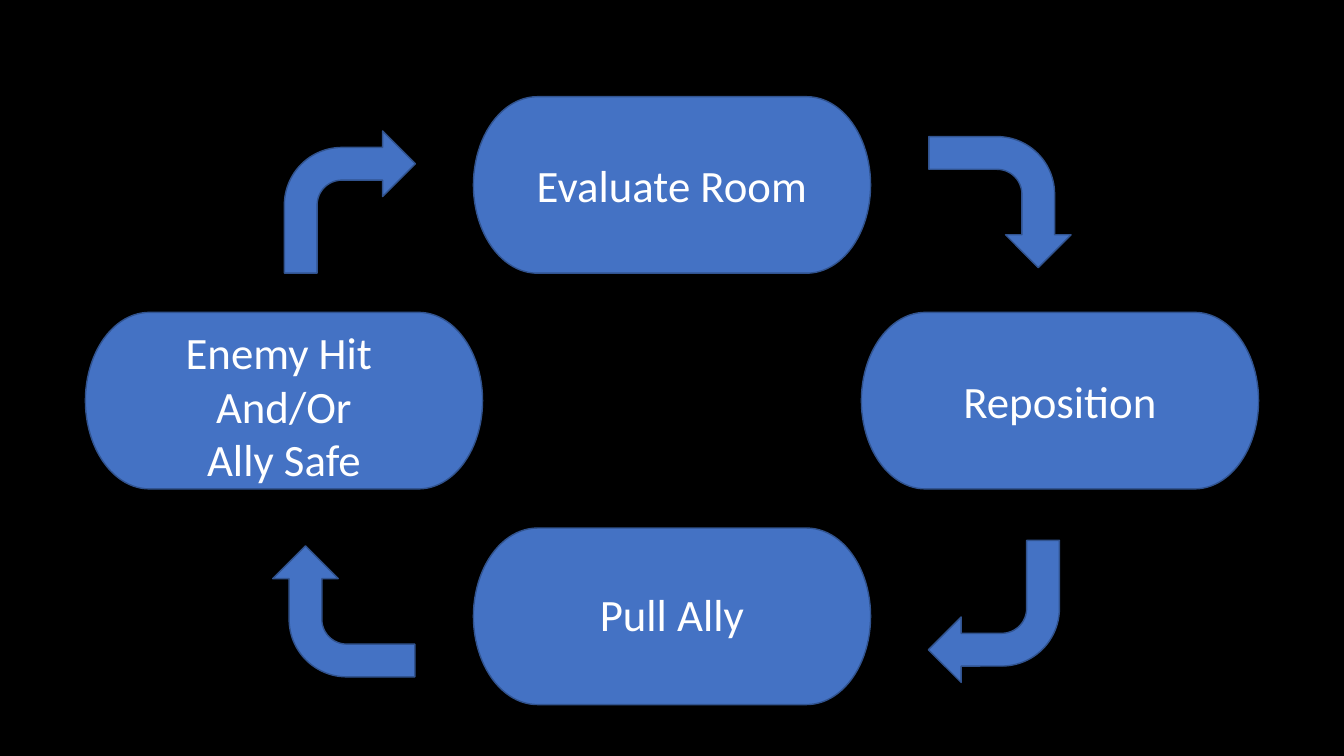
from dataclasses import dataclass

from pptx import Presentation
from pptx.dml.color import RGBColor
from pptx.enum.shapes import MSO_SHAPE as Preset
from pptx.enum.text import MSO_AUTO_SIZE as AutoSize, PP_ALIGN as Align
from pptx.shapes.autoshape import Shape
from pptx.slide import Slide
from pptx.util import Inches, Pt

COLOURS = {"back": "000000", "fill": "4472C4", "edge": "31538F", "text": "FFFFFF"}

# Grid of 100 columns by 100 rows
SLIDE_W, SLIDE_H = 13.33, 7.5
COLUMN, ROW = SLIDE_W / 100, SLIDE_H / 100
CENTRE_X, CENTRE_Y = 50, 53
REACH_X, REACH_Y = 28.87, 28.53
STAGE_W, STAGE_H = 29.55, 23.35
LABEL_W, LABEL_PAD, LABEL_LINE = 24, 1.33, 7.2
ARROW_W, ARROW_H = 9.75, 18.8


@dataclass
class Stage:
    lines: list[str]
    across: int  # steps from the centre of the cycle
    down: int
    label_shift: float  # rows between stage centre and label centre


@dataclass
class Turn:
    x: float
    y: float
    rotation: int


STAGES = [
    Stage(["Evaluate Room"], 0, -1, 0),
    Stage(["Enemy Hit ", "And/Or", "Ally Safe"], -1, 0, 0.73),
    Stage(["Reposition"], 1, 0, 0.07),
    Stage(["Pull Ally"], 0, 1, -0.33),
]
TURNS = [
    Turn(26.03, 26.73, 0),
    Turn(74.4, 26.73, 90),
    Turn(73.95, 80.87, 180),
    Turn(25.58, 80.87, 270),
]


def colour(name: str) -> RGBColor:
    return RGBColor.from_string(COLOURS[name])


def frame(x: float, y: float, width: float, height: float) -> tuple:
    """Turn a centre and size on the grid into left, top, width, height."""
    return (Inches((x - width / 2) * COLUMN), Inches((y - height / 2) * ROW),
            Inches(width * COLUMN), Inches(height * ROW))


def add_block(page: Slide, preset: Preset, place: tuple) -> Shape:
    block = page.shapes.add_shape(preset, *place)
    block.shadow.inherit = False
    block.fill.solid()
    block.fill.fore_color.rgb = colour("fill")
    block.line.color.rgb = colour("edge")
    block.line.width = Pt(1)
    return block


def add_stage(page: Slide, stage: Stage) -> None:
    x = CENTRE_X + stage.across * REACH_X
    y = CENTRE_Y + stage.down * REACH_Y
    add_block(page, Preset.FLOWCHART_TERMINATOR, frame(x, y, STAGE_W, STAGE_H))
    height = LABEL_PAD + LABEL_LINE * len(stage.lines)
    box = page.shapes.add_textbox(*frame(x, y + stage.label_shift, LABEL_W, height))
    text = box.text_frame
    text.word_wrap = True
    text.auto_size = AutoSize.SHAPE_TO_FIT_TEXT
    text.text = "\n".join(stage.lines)
    for para in text.paragraphs:
        para.alignment = Align.CENTER
        para.font.name = "Calibri"
        para.font.size = Pt(32)
        para.font.color.rgb = colour("text")


def add_turn(page: Slide, turn: Turn) -> None:
    arrow = add_block(page, Preset.BENT_ARROW, frame(turn.x, turn.y, ARROW_W, ARROW_H))
    for index, share in enumerate((0.25, 0.25, 0.25, 0.44)):
        arrow.adjustments[index] = share
    arrow.rotation = turn.rotation


def main() -> None:
    deck = Presentation()
    deck.slide_width, deck.slide_height = Inches(SLIDE_W), Inches(SLIDE_H)
    page = deck.slides.add_slide(deck.slide_layouts[6])
    page.background.fill.solid()
    page.background.fill.fore_color.rgb = colour("back")

    # Stages of the cycle
    for stage in STAGES:
        add_stage(page, stage)

    # Arrows leading clockwise
    for turn in TURNS:
        add_turn(page, turn)

    deck.save("out.pptx")


if __name__ == "__main__":
    main()
